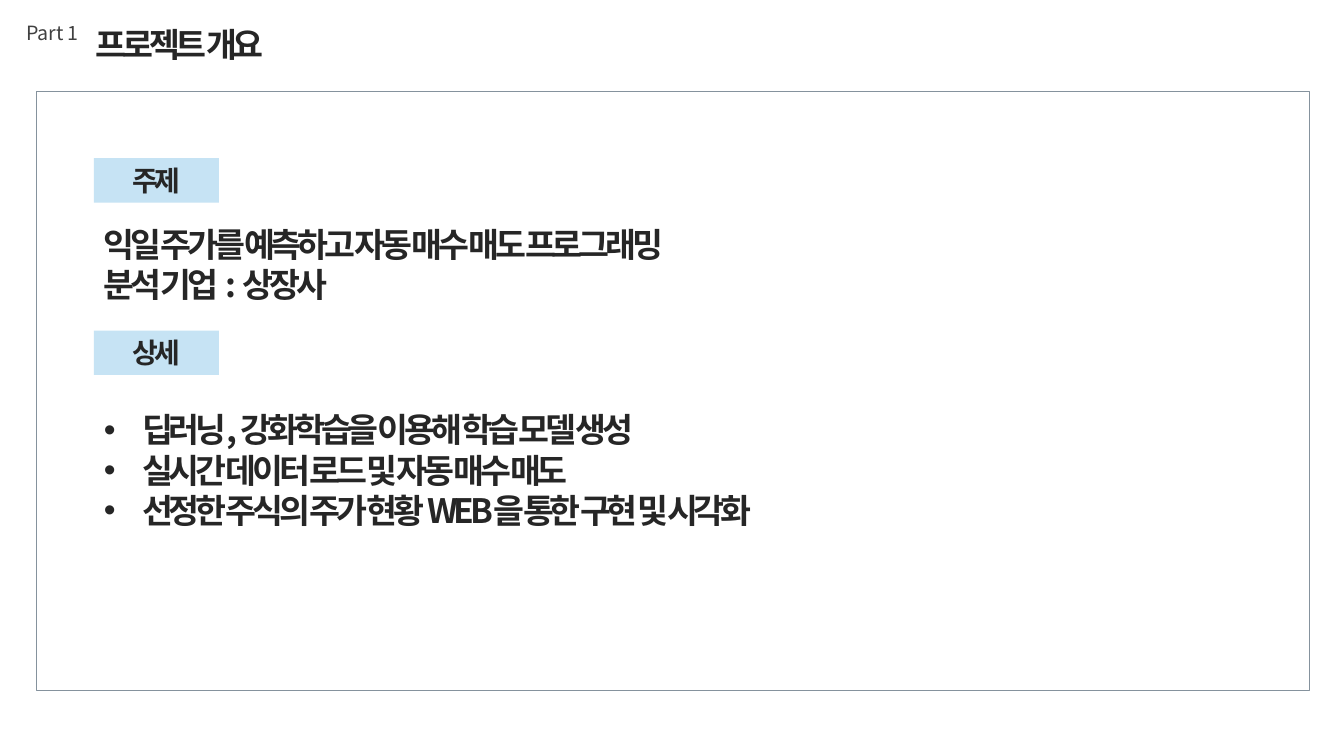
"""Build the project overview slide."""
from dataclasses import dataclass

from lxml import etree
from pptx import Presentation
from pptx import util as u
from pptx.dml.color import RGBColor
from pptx.enum import shapes, text
from pptx.oxml.ns import qn

FONT = "Noto Sans CJK KR"
INK, GREY, SKY, FRAME = "262626", "404040", "C6E3F4", "85929D"
WIDTH, HEIGHT = u.Inches(13.33), u.Inches(7.5)
MARGIN = 6.98


@dataclass
class Area:
    """Place and size in percent of the slide's width and height."""
    left: float
    top: float
    width: float
    height: float

    def lengths(self) -> tuple[int, int, int, int]:
        """Return left, top, width and height as lengths."""
        return (int(WIDTH * self.left / 100), int(HEIGHT * self.top / 100),
                int(WIDTH * self.width / 100), int(HEIGHT * self.height / 100))


@dataclass
class Label:
    """A section heading on a coloured bar."""
    words: str
    top: float


LABELS = [Label("주제", 20.93), Label("상세", 43.73)]
TOPIC = ["익일 주가를 예측하고 자동 매수 매도 프로그래밍", "분석 기업  :  상장사"]
DETAILS = ["딥러닝, 강화학습을 이용해 학습 모델 생성",
           "실시간 데이터 로드 및 자동 매수 매도",
           "선정한 주식의 주가 현황 WEB을 통한 구현 및 시각화"]


def colour(value: str) -> RGBColor:
    """Turn a hex string into a colour."""
    return RGBColor.from_string(value)


def place(box, area: Area) -> None:
    """Move and size a placeholder."""
    box.left, box.top, box.width, box.height = area.lengths()


def add_bullet(para) -> None:
    """Give a paragraph a round bullet with a hanging indent."""
    properties = para._p.get_or_add_pPr()
    indent = u.Inches(0.38)
    properties.set("marL", str(indent))
    properties.set("indent", str(-indent))
    etree.SubElement(properties, qn("a:buFont")).set("typeface", "Arial")
    etree.SubElement(properties, qn("a:buChar")).set("char", "•")


def write(box, lines: list[str], *, size: float = 24, ink: str = INK,
          bold: bool = True, spacing: float = -3, wrap: bool = True,
          align=text.PP_ALIGN.LEFT, anchor=text.MSO_ANCHOR.TOP,
          bullets: bool = False) -> None:
    """Fill a box with formatted paragraphs."""
    frame = box.text_frame
    frame.word_wrap = wrap
    frame.auto_size = text.MSO_AUTO_SIZE.SHAPE_TO_FIT_TEXT
    frame.vertical_anchor = anchor
    for index, line in enumerate(lines):
        para = frame.add_paragraph() if index else frame.paragraphs[0]
        para.alignment = align
        para.space_before = u.Pt(0)
        if bullets:
            add_bullet(para)
        span = para.add_run()
        span.text = line
        span.font.size, span.font.bold = u.Pt(size), bold
        span.font.color.rgb = colour(ink)
        span.font.name = FONT
        properties = span._r.get_or_add_rPr()
        etree.SubElement(properties, qn("a:ea")).set("typeface", FONT)
        if spacing:
            properties.set("spc", str(int(spacing * 100)))


def add_rectangle(page, area: Area, *, fill: str = "", line: str = ""):
    """Add a flat rectangle with an optional fill and outline."""
    box = page.shapes.add_shape(shapes.MSO_SHAPE.RECTANGLE, *area.lengths())
    box.shadow.inherit = False
    if fill:
        box.fill.solid()
        box.fill.fore_color.rgb = colour(fill)
    else:
        box.fill.background()
    if line:
        box.line.color.rgb = colour(line)
        box.line.width = u.Pt(1)
    else:
        box.line.fill.background()
    return box


def main() -> None:
    """Build and save the deck."""
    deck = Presentation()
    deck.slide_width, deck.slide_height = WIDTH, HEIGHT
    page = deck.slides.add_slide(deck.slide_layouts[1])

    add_rectangle(page, Area(2.7, 12.13, 94.75, 79.2), line=FRAME)
    part = page.shapes.add_textbox(*Area(1.2, 2.13, 5.55, 4.53).lengths())
    write(part, ["Part 1"], size=14, ink=GREY, bold=False, spacing=0, wrap=False)

    title = page.shapes.title
    place(title, Area(6.38, 2.53, 14.1, 6.67))
    write(title, ["프로젝트 개요"], wrap=False)

    for label in LABELS:
        bar = add_rectangle(page, Area(MARGIN, label.top, 9.3, 5.87), fill=SKY)
        write(bar, [label.words], size=20, align=text.PP_ALIGN.CENTER,
              anchor=text.MSO_ANCHOR.MIDDLE)

    topic = page.shapes.add_textbox(*Area(MARGIN, 28.93, 47.56, 12.13).lengths())
    write(topic, TOPIC, wrap=False)

    details = page.placeholders[1]
    place(details, Area(MARGIN, 53.47, 50.49, 17.47))
    write(details, DETAILS, bullets=True)

    deck.save("out.pptx")


if __name__ == "__main__":
    main()
